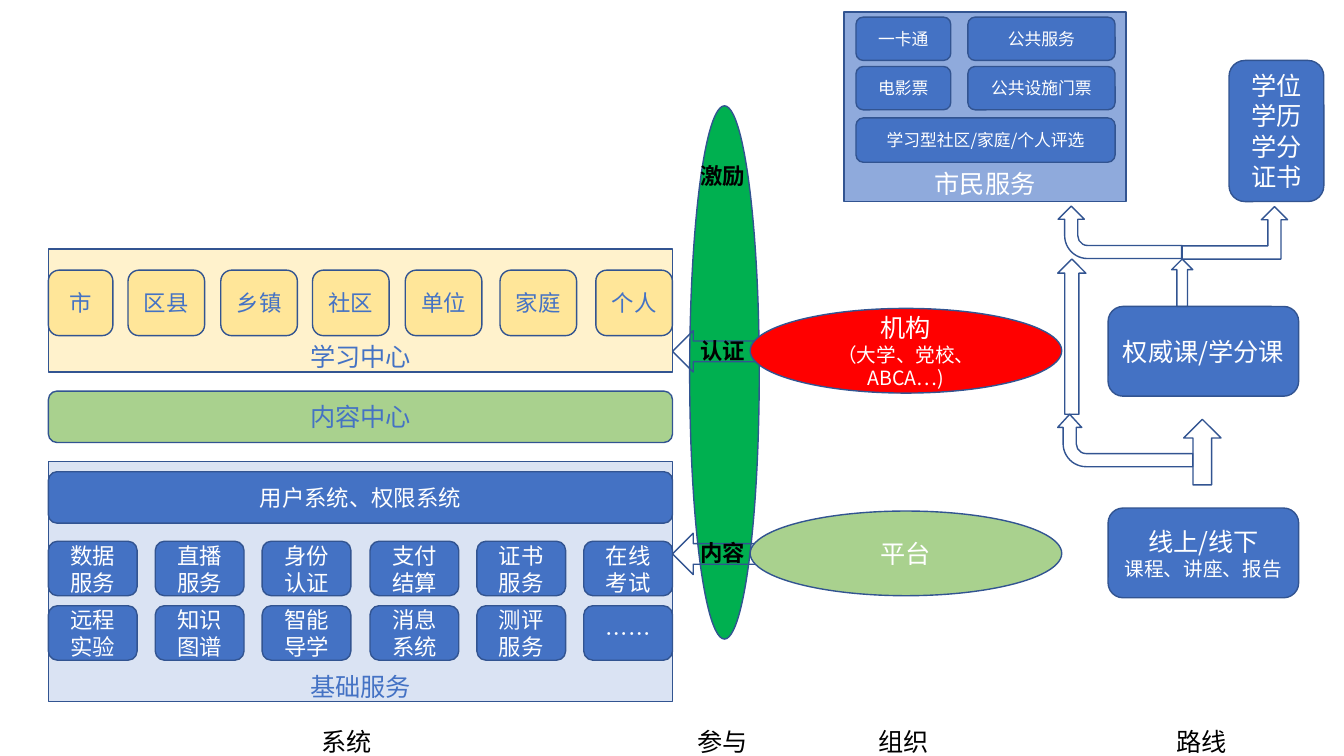
from dataclasses import dataclass

from lxml import etree
from pptx import Presentation
from pptx.dml.color import RGBColor
from pptx.enum.shapes import MSO_SHAPE as SHAPE
from pptx.enum.text import MSO_ANCHOR as ANCHOR, MSO_AUTO_SIZE as AUTO, PP_ALIGN as ALIGN
from pptx.oxml.ns import qn
from pptx.util import Emu, Pt

EMU_PER_PX = 9144  # 100 px to the inch


@dataclass(frozen=True)
class Theme:
    font: str = "Noto Sans CJK SC"
    blue: str = "4472C4"
    outline: str = "325491"
    pale_blue: str = "DAE3F3"
    mid_blue: str = "8FAADC"
    cream: str = "FFF2CC"
    yellow: str = "FFE699"
    light_green: str = "A9D18E"
    green: str = "00B050"
    red: str = "FF0000"
    white: str = "FFFFFF"
    black: str = "000000"
    title: int = 18
    body: int = 16
    detail: int = 14
    small: int = 12
    leading: float = 1.21


T = Theme()


def px(n):
    return Emu(n * EMU_PER_PX)


def add_line(tf, index, text, size, color, bold=False):
    p = tf.paragraphs[0] if index == 0 else tf.add_paragraph()
    p.line_spacing = Pt(size * T.leading)
    r = p.add_run()
    r.text = text
    r.font.name = T.font
    r.font.size = Pt(size)
    r.font.bold = bold
    r.font.color.rgb = RGBColor.from_string(color)
    ea = etree.SubElement(r.font._element, qn("a:ea"))
    ea.set("typeface", T.font)
    return p


def add_outlined(s, kind, box, fill=None):
    sp = s.shapes.add_shape(kind, *map(px, box))
    sp.shadow.inherit = False
    sp.line.color.rgb = RGBColor.from_string(T.outline)
    sp.line.width = Pt(1)
    if fill:
        sp.fill.solid()
        sp.fill.fore_color.rgb = RGBColor.from_string(fill)
    else:
        sp.fill.background()
    return sp


def add_node(s, box, lines, fill=T.blue, color=T.white, kind=SHAPE.ROUNDED_RECTANGLE):
    """Shape with centred lines, each a (text, size) pair."""
    sp = add_outlined(s, kind, box, fill)
    tf = sp.text_frame
    tf.word_wrap = True
    tf.vertical_anchor = ANCHOR.MIDDLE
    for i, (text, size) in enumerate(lines):
        add_line(tf, i, text, size, color).alignment = ALIGN.CENTER
    return sp


def add_panel(s, box, title, fill, color, bottom=0):
    """Background panel with its title along the lower edge."""
    sp = add_node(s, box, [(title, T.title)], fill, color, SHAPE.RECTANGLE)
    sp.text_frame.vertical_anchor = ANCHOR.BOTTOM
    sp.text_frame.margin_bottom = px(bottom)


def add_arrow(s, kind, box, rotation=0, adjustments=()):
    sp = add_outlined(s, kind, box)
    sp.rotation = rotation
    for i, value in enumerate(adjustments):
        sp.adjustments[i] = value


def add_label(s, box, text, size, bold=False):
    tf = s.shapes.add_textbox(*map(px, box)).text_frame
    tf.word_wrap = False
    tf.auto_size = AUTO.SHAPE_TO_FIT_TEXT
    add_line(tf, 0, text, size, T.black, bold)


def add_participation(s):
    add_outlined(s, SHAPE.OVAL, (684, 105, 69, 529), T.green)
    for top in (529, 328):
        add_arrow(s, SHAPE.RIGHT_ARROW, (667, top, 113, 41), 180)


def add_system(s):
    # Learning centre
    add_panel(s, (48, 247, 619, 122), "学习中心", T.cream, T.blue)
    levels = (("市", 48, 64), ("区县", 127, 76), ("乡镇", 219, 76), ("社区", 310, 76),
              ("单位", 402, 76), ("家庭", 496, 76), ("个人", 591, 76))
    for name, left, width in levels:
        add_node(s, (left, 268, width, 65), [(name, T.body)], T.yellow, T.blue)

    # Content centre
    add_node(s, (48, 388, 619, 51), [("内容中心", T.title)], T.light_green, T.blue)

    # Basic services
    add_panel(s, (48, 458, 619, 238), "基础服务", T.pale_blue, T.blue)
    add_node(s, (48, 468, 619, 51), [("用户系统、权限系统", T.body)])
    services = (("数据服务", "直播服务", "身份认证", "支付\n结算", "证书服务", "在线考试"),
                ("远程实验", "知识图谱", "智能导学", "消息系统", "测评服务", "……"))
    for row, names in enumerate(services):
        for col, name in enumerate(names):
            box = (48 + round(col * 106.2), 537 + row * 64, 88, 54)
            add_node(s, box, [(part, T.body) for part in name.split("\n")])


def add_organisations(s):
    add_node(s, (744, 507, 309, 84), [("平台", T.title)], T.light_green, kind=SHAPE.OVAL)
    add_node(s, (744, 306, 309, 84),
             [("机构", T.title), ("（大学、党校、ABCA…)", T.detail)], T.red, kind=SHAPE.OVAL)


def add_citizen_services(s):
    add_panel(s, (837, 12, 280, 188), "市民服务", T.mid_blue, T.white, bottom=3)
    benefits = (("一卡通", "公共服务"), ("电影票", "公共设施门票"))
    for row, names in enumerate(benefits):
        for name, left, width in zip(names, (849, 960), (94, 146)):
            add_node(s, (left, 17 + row * 49, width, 43), [(name, T.small)])
    add_node(s, (849, 117, 257, 44), [("学习型社区/家庭/个人评选", T.small)])


def add_route(s):
    # Stages
    add_node(s, (1099, 504, 189, 89), [("线上/线下", T.title), ("课程、讲座、报告", T.detail)])
    add_node(s, (1099, 304, 189, 89), [("权威课/学分课", T.title)])
    awards = ("学位", "学历", "学分", "证书")
    add_node(s, (1219, 60, 94, 140), [(name, T.title) for name in awards])

    # Straight arrows
    for box in ((1162, 257, 21, 47), (1174, 416, 37, 65), (1049, 257, 28, 154)):
        add_arrow(s, SHAPE.DOWN_ARROW, box, 180)

    # Bent arrows
    add_arrow(s, SHAPE.BENT_UP_ARROW, (1172, 205, 105, 52))
    add_arrow(s, SHAPE.BENT_ARROW, (1085, 169, 52, 123), 270)
    add_arrow(s, SHAPE.BENT_ARROW, (1090, 370, 52, 134), 270, (0.25, 0.23, 0.25, 0.44))


def add_labels(s):
    for text, top in (("激励", 156), ("认证", 329), ("内容", 530)):
        add_label(s, (685, top, 65, 37), text, T.body, bold=True)
    for text, left in (("系统", 309), ("参与", 682), ("组织", 861), ("路线", 1157)):
        add_label(s, (left, 715, 71, 40), text, T.title)


def main():
    prs = Presentation()
    prs.slide_width, prs.slide_height = px(1333), px(750)
    s = prs.slides.add_slide(prs.slide_layouts[6])
    add_participation(s)
    add_system(s)
    add_organisations(s)
    add_citizen_services(s)
    add_route(s)
    add_labels(s)
    prs.save("out.pptx")


if __name__ == "__main__":
    main()
